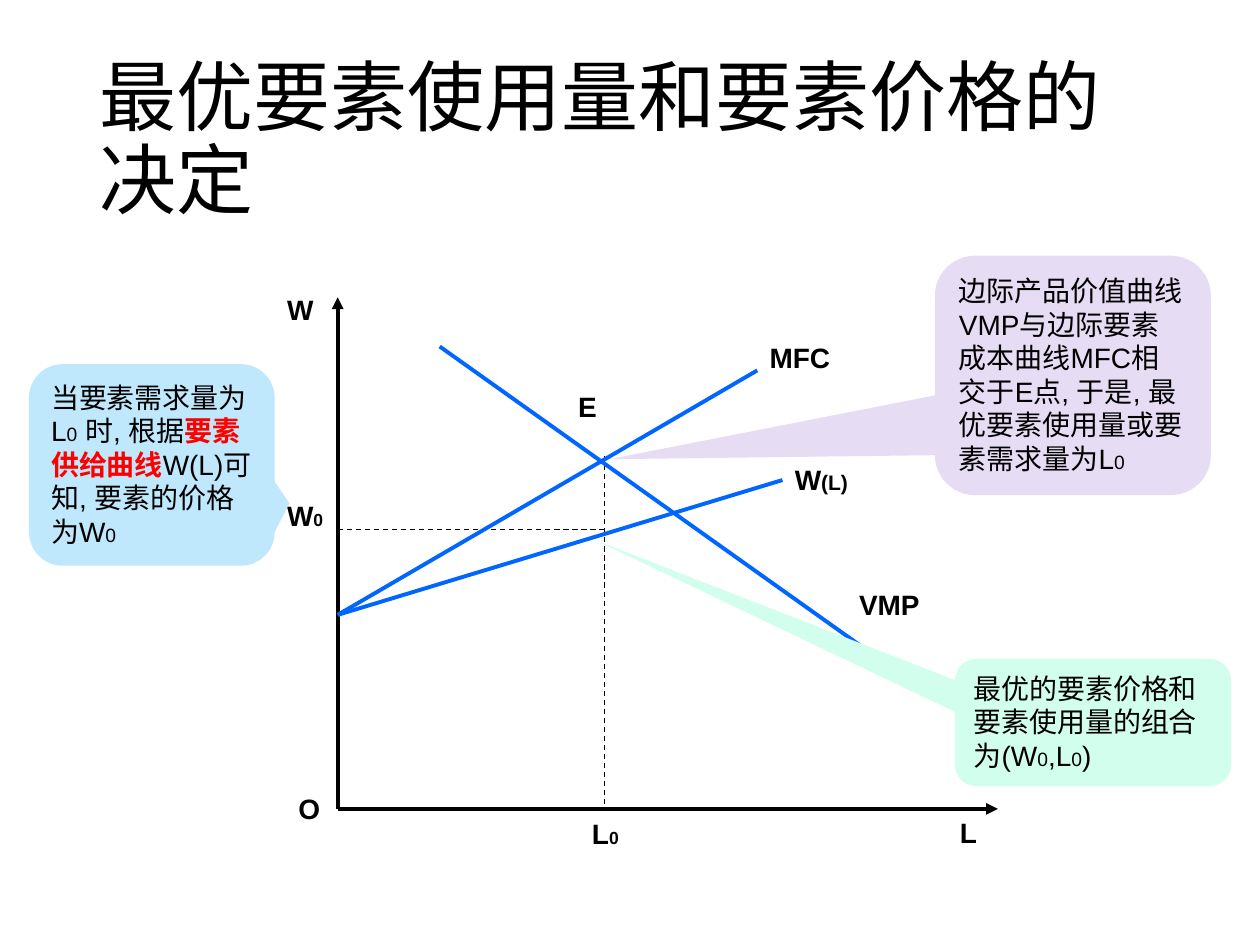
from lxml.etree import SubElement
from pptx import Presentation
from pptx.dml.color import RGBColor
from pptx.enum.dml import MSO_LINE
from pptx.enum.shapes import MSO_CONNECTOR, MSO_SHAPE
from pptx.enum.text import MSO_ANCHOR, PP_ALIGN
from pptx.oxml.ns import qn
from pptx.util import Inches, Pt

HUES = {
    "ink": "000000",
    "curve": "0066FF",
    "alert": "FF0000",
    "lilac": "E6DCF4",
    "sky": "C0E8FC",
    "mint": "D2FEED",
}
AXIS_X, AXIS_Y = 2.68, 6.42
BEST_X, WAGE_Y = 4.8, 4.2
START = (AXIS_X, 4.88)


def hue(name):
    return RGBColor.from_string(HUES[name])


def write(para, text, size=16, font="Arial", color="ink", bold=False):
    run = para.add_run()
    run.text = text
    run.font.size = Pt(size)
    run.font.name = font
    run.font.bold = bold
    run.font.color.rgb = hue(color)


def add_title(slide, text):
    title = slide.shapes.title
    title.left, title.top = Inches(0.69), Inches(0.4)
    title.width, title.height = Inches(8.62), Inches(1.45)
    frame = title.text_frame
    frame.word_wrap = True
    frame.vertical_anchor = MSO_ANCHOR.MIDDLE
    para = frame.paragraphs[0]
    para.alignment = PP_ALIGN.LEFT
    para.line_spacing = 0.9
    write(para, text, size=44, font="Calibri")


def add_line(slide, start, end, color="ink", width=2.25, dash=False, arrow=False):
    ends = [Inches(v) for v in (*start, *end)]
    line = slide.shapes.add_connector(MSO_CONNECTOR.STRAIGHT, *ends)
    line.line.color.rgb = hue(color)
    line.line.width = Pt(width)
    if dash:
        line.line.dash_style = MSO_LINE.DASH
    if arrow:
        SubElement(line.line._get_or_add_ln(), qn("a:tailEnd"), type="triangle")
    SubElement(line._element.spPr, qn("a:effectLst"))


def add_label(slide, left, top, width, text, small="", size=10):
    box = slide.shapes.add_textbox(
        Inches(left), Inches(top), Inches(width), Inches(0.45))
    box.text_frame.word_wrap = True
    para = box.text_frame.paragraphs[0]
    write(para, text, bold=True)
    if small:
        write(para, small, size=size, bold=True)


def add_note(slide, place, tip, fill, parts):
    note = slide.shapes.add_shape(
        MSO_SHAPE.ROUNDED_RECTANGULAR_CALLOUT, *[Inches(v) for v in place])
    note.adjustments[0], note.adjustments[1] = tip
    note.shadow.inherit = False
    note.fill.solid()
    note.fill.fore_color.rgb = hue(fill)
    note.line.fill.background()
    frame = note.text_frame
    frame.word_wrap = True
    frame.vertical_anchor = MSO_ANCHOR.TOP
    para = frame.paragraphs[0]
    para.alignment = PP_ALIGN.LEFT
    for text, style in parts:
        write(para, text, **style)


def main():
    deck = Presentation()
    deck.slide_width, deck.slide_height = Inches(10), Inches(7.5)
    slide = deck.slides.add_slide(deck.slide_layouts[5])
    add_title(slide, "最优要素使用量和要素价格的决定")

    for end in ((AXIS_X, 2.36), (7.92, AXIS_Y)):
        add_line(slide, (AXIS_X, AXIS_Y), end, arrow=True)
    add_line(slide, (AXIS_X, WAGE_Y), (BEST_X, WAGE_Y), width=0.75, dash=True)
    add_line(slide, (BEST_X, 3.62), (BEST_X, AXIS_Y), width=0.75, dash=True)
    for start, end in (((3.49, 2.75), (7.02, 5.26)),
                       (START, (6.21, 3.81)),
                       (START, (6.01, 2.94))):
        add_line(slide, start, end, color="curve")

    add_label(slide, 2.18, 2.27, 0.8, "W")
    add_label(slide, 2.27, 6.23, 0.44, "O")
    add_label(slide, 7.52, 6.42, 0.44, "L")
    add_label(slide, 4.49, 3.04, 0.5, "E")
    add_label(slide, 6.01, 2.65, 1.41, "MFC")
    add_label(slide, 6.72, 4.61, 1.21, "VMP")
    add_label(slide, 6.21, 3.62, 1.6, "W", small="(L)", size=12)
    add_label(slide, 2.18, 3.91, 0.66, "W", small="0")
    add_label(slide, 4.6, 6.43, 0.67, "L", small="0")

    plain, zero = {}, ("0", {"size": 11})
    add_note(slide, (7.42, 2.03, 2.19, 1.9), (-1.68, 0.35), "lilac", [
        ("边际产品价值曲线VMP与边际要素成本曲线MFC相交于E点, 于是, "
         "最优要素使用量或要素需求量为L", plain), zero])
    add_note(slide, (0.23, 2.89, 1.95, 1.6), (0.56, 0.19), "sky", [
        ("当要素需求量为L", plain), zero,
        (" 时, 根据", plain),
        ("要素供给曲线", {"color": "alert", "bold": True}),
        ("W(L)可知, 要素的价格为W", plain), zero])
    add_note(slide, (7.58, 5.23, 2.19, 1.01), (-1.81, -1.44), "mint", [
        ("最优的要素价格和要素使用量的组合为(W", plain), zero,
        (",L", plain), zero, (")", plain)])

    deck.save("out.pptx")


if __name__ == "__main__":
    main()
